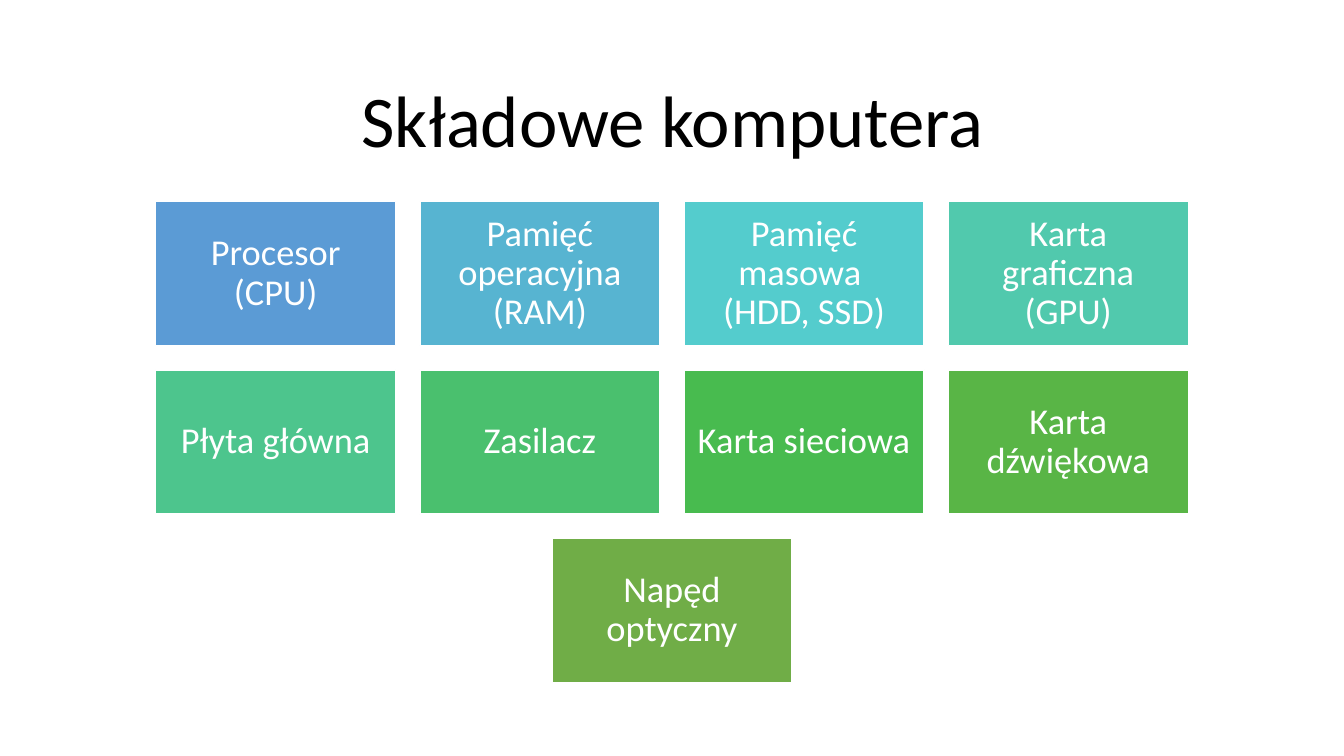
from pptx import Presentation
from pptx.dml.color import RGBColor
from pptx.enum import shapes, text
from pptx.util import Inches, Pt

# Content
TITLE = "Składowe komputera"
PARTS = [
    ("Procesor (CPU)", RGBColor(0x5B, 0x9B, 0xD5)),
    ("Pamięć operacyjna (RAM)", RGBColor(0x57, 0xB4, 0xD1)),
    ("Pamięć masowa \v(HDD, SSD)", RGBColor(0x54, 0xCC, 0xCD)),
    ("Karta graficzna (GPU)", RGBColor(0x51, 0xC9, 0xAD)),
    ("Płyta główna", RGBColor(0x4D, 0xC5, 0x8D)),
    ("Zasilacz", RGBColor(0x4A, 0xC0, 0x6E)),
    ("Karta sieciowa", RGBColor(0x48, 0xBB, 0x4F)),
    ("Karta dźwiękowa", RGBColor(0x59, 0xB5, 0x46)),
    ("Napęd optyczny", RGBColor(0x70, 0xAD, 0x47)),
]
BLACK = RGBColor(0, 0, 0)
WHITE = RGBColor(255, 255, 255)
FONT = "Calibri"

# Grid, in inches
PAGE_W, PAGE_H = 13.33, 7.5
COLS, TOP = 4, 2
CARD_W, CARD_H, GAP = 2.38, 1.43, 0.24
INSET = Inches(0.11)


def set_text(frame, words, size, color):
    frame.text = words
    frame.word_wrap = True
    frame.vertical_anchor = text.MSO_ANCHOR.MIDDLE
    para = frame.paragraphs[0]
    para.alignment = text.PP_ALIGN.CENTER
    para.line_spacing = 0.9
    para.font.name = FONT
    para.font.size = Pt(size)
    para.font.color.rgb = color


def add_card(slide, left, top, words, color):
    card = slide.shapes.add_shape(
        shapes.MSO_SHAPE.RECTANGLE,
        Inches(left), Inches(top), Inches(CARD_W), Inches(CARD_H))
    card.shadow.inherit = False
    card.fill.solid()
    card.fill.fore_color.rgb = color
    card.line.color.rgb = WHITE
    card.line.width = Pt(1)
    frame = card.text_frame
    frame.margin_left = frame.margin_right = INSET
    frame.margin_top = frame.margin_bottom = INSET
    set_text(frame, words, 26, WHITE)


def main():
    deck = Presentation()
    deck.slide_width, deck.slide_height = Inches(PAGE_W), Inches(PAGE_H)
    slide = deck.slides.add_slide(deck.slide_layouts[5])

    # Title
    title = slide.shapes.title
    title.left, title.top = Inches(0.92), Inches(0.61)
    title.width, title.height = Inches(11.5), Inches(1.24)
    set_text(title.text_frame, TITLE, 52, BLACK)

    # Cards, each row centred on the page
    for start in range(0, len(PARTS), COLS):
        row = PARTS[start:start + COLS]
        left = (PAGE_W - len(row) * (CARD_W + GAP) + GAP) / 2
        top = TOP + start // COLS * (CARD_H + GAP)
        for col, (words, color) in enumerate(row):
            add_card(slide, left + col * (CARD_W + GAP), top, words, color)

    deck.save("out.pptx")


if __name__ == "__main__":
    main()
